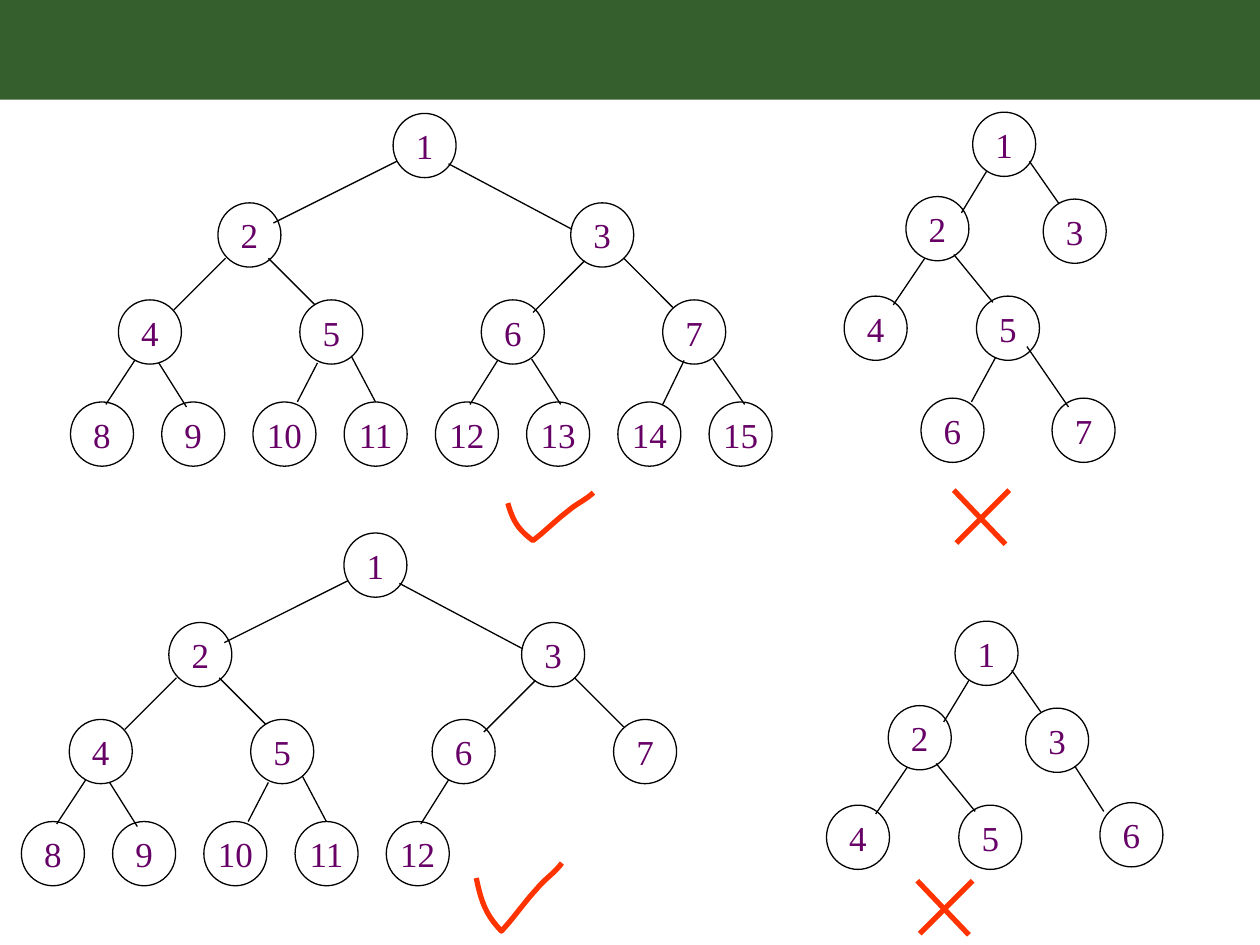
from lxml.etree import SubElement
from pptx import Presentation
from pptx.dml.color import RGBColor
from pptx.enum.shapes import MSO_CONNECTOR as Connector, MSO_SHAPE as Shape
from pptx.enum.text import MSO_ANCHOR as Anchor, PP_ALIGN as Align
from pptx.oxml.ns import qn
from pptx.util import Inches, Pt

GREEN = RGBColor(0x36, 0x5F, 0x2E)
BLACK = RGBColor(0x00, 0x00, 0x00)
PURPLE = RGBColor(0x66, 0x00, 0x66)
RED = RGBColor(0xFF, 0x33, 0x00)

WIDTH, HEIGHT = 10, 7.5
NODE_W, NODE_H = 0.5, 0.51

# Complete tree, level by level: left of the first node, top, spacing, nodes
LEVELS = [(3.12, 0.9, 0, 1), (1.73, 1.61, 2.8, 2),
          (0.94, 2.38, 1.44, 4), (0.56, 3.19, 0.724, 8)]

# Edges are keyed by the child node: from x, y, to x, y
COMPLETE_EDGES = {
    2: (3.15, 1.28, 2.17, 1.77), 3: (3.56, 1.3, 4.54, 1.82),
    4: (1.79, 2.05, 1.38, 2.46), 5: (2.13, 2.05, 2.5, 2.42),
    6: (4.64, 2.07, 4.23, 2.48), 7: (4.95, 2.05, 5.34, 2.44),
    8: (1.07, 2.86, 0.84, 3.21), 9: (1.26, 2.88, 1.48, 3.23),
    10: (2.52, 2.88, 2.36, 3.19), 11: (2.79, 2.83, 2.98, 3.19),
    12: (3.95, 2.86, 3.73, 3.21), 13: (4.22, 2.85, 4.45, 3.21),
    14: (5.43, 2.86, 5.26, 3.21), 15: (5.66, 2.85, 5.91, 3.21),
}

# The two incomplete trees share their first five nodes
SHARED_NODES = {1: (7.72, 0.89), 2: (7.19, 1.56), 3: (8.28, 1.58),
                4: (6.7, 2.35), 5: (7.75, 2.35)}
SHARED_EDGES = {2: (7.83, 1.36, 7.63, 1.69), 3: (8.17, 1.28, 8.4, 1.61),
                4: (7.34, 2.05, 7.09, 2.42), 5: (7.57, 2.02, 7.88, 2.4)}
DEEP_NODES = {6: (7.31, 3.16), 7: (8.35, 3.16)}
DEEP_EDGES = {6: (7.9, 2.84, 7.71, 3.19), 7: (8.15, 2.75, 8.48, 3.23)}
GAP_NODES = {6: (8.87, 2.33)}
GAP_EDGES = {6: (8.67, 2.04, 8.9, 2.4)}

# Tick as a start point and three cubic curves, y as a share of its height
TICK = [(0, 0.22), (0.04, 0.58), (0.08, 0.77), (0.2, 1),
        (0.3, 0.8), (0.38, 0.58), (0.48, 0.38),
        (0.54, 0.24), (0.62, 0.15), (0.68, 0)]
CROSS = [(0.44, 0, 0.02, 0.42), (0, 0, 0.41, 0.43)]


def add_text(shape, text, *, font, size, color, align):
    frame = shape.text_frame
    frame.word_wrap = False
    frame.vertical_anchor = Anchor.MIDDLE
    para = frame.paragraphs[0]
    para.alignment = align
    span = para.add_run()
    span.text = text
    span.font.name = font
    span.font.size = Pt(size)
    span.font.color.rgb = color


def style_line(shape, color, width):
    shape.line.color.rgb = color
    shape.line.width = Pt(width)


def add_line(shapes, ends, left=0, top=0, *, color=BLACK, width=0.75):
    x1, y1, x2, y2 = ends
    line = shapes.add_connector(
        Connector.STRAIGHT, Inches(left + x1), Inches(top + y1),
        Inches(left + x2), Inches(top + y2))
    style_line(line, color, width)
    SubElement(line._element.spPr, qn("a:effectLst"))


def add_node(shapes, number, left, top):
    node = shapes.add_shape(Shape.OVAL, Inches(left), Inches(top),
                            Inches(NODE_W), Inches(NODE_H))
    node.shadow.inherit = False
    node.fill.background()
    style_line(node, BLACK, 0.75)
    add_text(node, str(number), font="Times New Roman", size=20,
             color=PURPLE, align=Align.CENTER)


def add_tree(page, nodes, edges, dx=0, dy=0):
    shapes = page.shapes.add_group_shape().shapes
    for number, (left, top) in nodes.items():
        add_node(shapes, number, left + dx, top + dy)
    for child, ends in edges.items():
        if child in nodes:
            add_line(shapes, ends, dx, dy)


def complete_nodes(count):
    spots = [(left + step * index, top)
             for left, top, step, size in LEVELS for index in range(size)]
    return dict(enumerate(spots[:count], start=1))


def curve_points(controls, steps=10):
    points = [controls[0]]
    for first in range(0, len(controls) - 1, 3):
        curve = controls[first:first + 4]
        for step in range(1, steps + 1):
            t = step / steps
            weights = ((1 - t) ** 3, 3 * t * (1 - t) ** 2,
                       3 * t * t * (1 - t), t ** 3)
            points.append(tuple(sum(w * p[axis] for w, p in zip(weights, curve))
                                for axis in (0, 1)))
    return points


def add_tick(page, left, top, height):
    points = [(Inches(left + x), Inches(top + y * height))
              for x, y in curve_points(TICK)]
    builder = page.shapes.build_freeform(*points[0])
    builder.add_line_segments(points[1:], close=False)
    tick = builder.convert_to_shape()
    tick.shadow.inherit = False
    tick.fill.background()
    style_line(tick, RED, 3)


def add_cross(page, left, top):
    for stroke in CROSS:
        add_line(page.shapes, stroke, left, top, color=RED, width=3)


def add_band(page):
    band = page.shapes.add_shape(Shape.RECTANGLE, 0, 0,
                                 Inches(WIDTH), Inches(0.79))
    band.shadow.inherit = False
    band.fill.solid()
    band.fill.fore_color.rgb = GREEN
    band.line.fill.background()


def main():
    deck = Presentation()
    deck.slide_width, deck.slide_height = Inches(WIDTH), Inches(HEIGHT)
    page = deck.slides.add_slide(deck.slide_layouts[6])
    add_band(page)

    # Full and complete trees on the left
    add_tree(page, complete_nodes(15), COMPLETE_EDGES)
    add_tree(page, complete_nodes(12), COMPLETE_EDGES, -0.39, 3.33)

    # Incomplete trees on the right
    add_tree(page, SHARED_NODES | DEEP_NODES, SHARED_EDGES | DEEP_EDGES)
    add_tree(page, SHARED_NODES | GAP_NODES, SHARED_EDGES | GAP_EDGES,
             -0.14, 4.04)

    # Verdicts
    add_tick(page, 4.03, 3.91, 0.38)
    add_tick(page, 3.78, 6.85, 0.54)
    add_cross(page, 7.57, 3.89)
    add_cross(page, 7.28, 6.99)

    deck.save("out.pptx")


if __name__ == "__main__":
    main()
